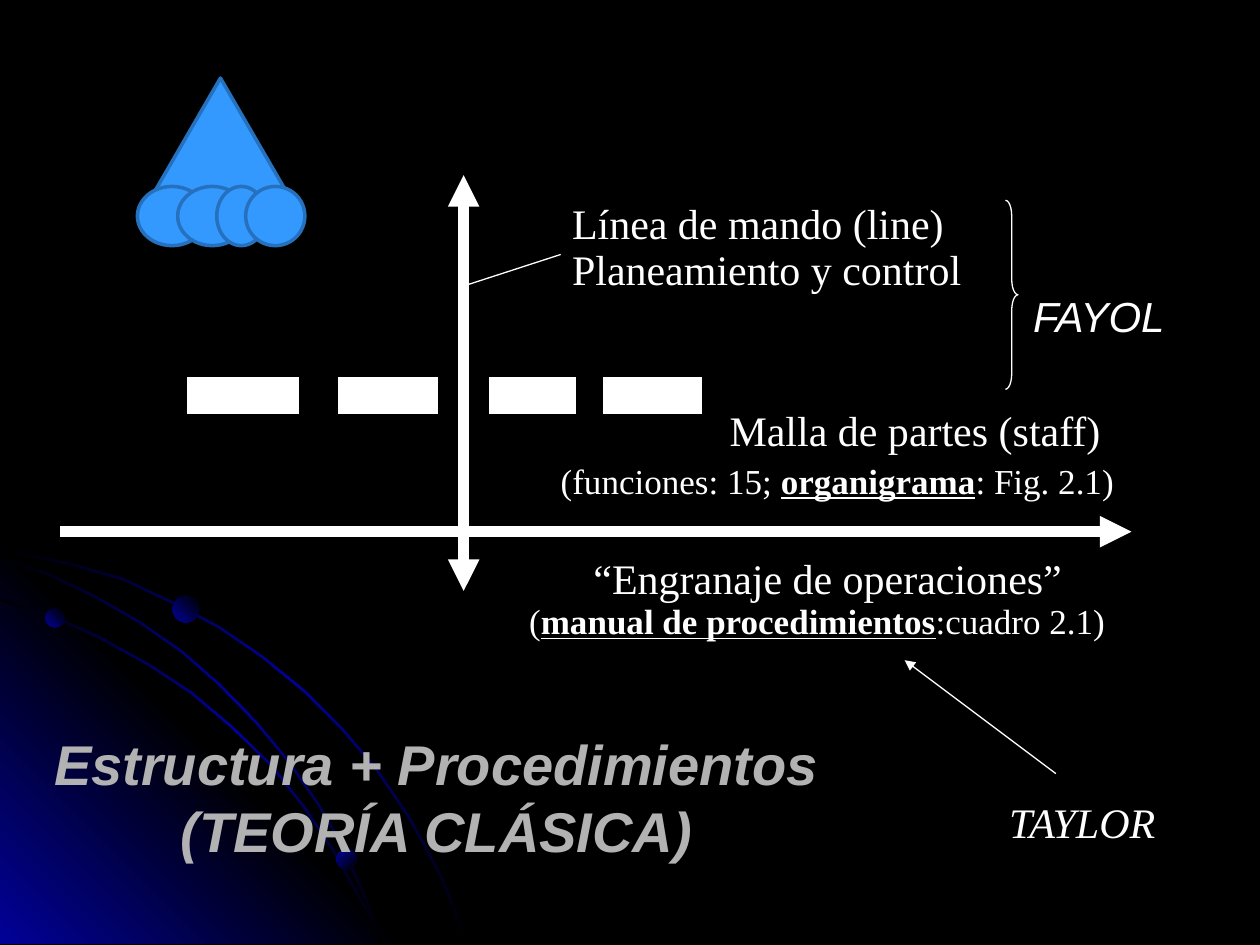
from lxml.etree import SubElement
from pptx import Presentation
from pptx.dml.color import RGBColor
from pptx.enum.shapes import MSO_CONNECTOR, MSO_SHAPE as Shape
from pptx.enum.text import MSO_ANCHOR as Anchor, MSO_AUTO_SIZE as AutoSize, PP_ALIGN as Align
from pptx.oxml.ns import qn
from pptx.util import Emu, Pt

PX = 9144  # EMU per px, 100 px to the inch
THEME = {
    "black": "000000", "white": "FFFFFF", "navy": "010199", "title": "B2B2B2",
    "blue": "3399FF", "edge": "2671BD",
    "serif": "Times New Roman", "sans": "Arial",
    "title_size": 32, "large": 24, "small": 20,
}
BLACK, WHITE, NAVY = THEME["black"], THEME["white"], THEME["navy"]


def paint(shape, fill, line=None, width=0.75):
    """Give a flat colour, or (stops, clockwise angle) for a gradient."""
    shape.shadow.inherit = False
    if isinstance(fill, tuple):
        colors, angle = fill
        shape.fill.gradient()
        gradient = shape.fill._xPr.find(qn("a:gradFill"))
        stops = gradient.find(qn("a:gsLst"))
        stops.clear()
        for index, color in enumerate(colors):
            stop = SubElement(stops, qn("a:gs"), pos=str(index * 100000 // (len(colors) - 1)))
            SubElement(stop, qn("a:srgbClr"), val=color)
        gradient.find(qn("a:lin")).set("ang", str(angle * 60000))
    elif fill:
        shape.fill.solid()
        shape.fill.fore_color.rgb = RGBColor.from_string(fill)
    else:
        shape.fill.background()
    if line:
        shape.line.color.rgb = RGBColor.from_string(line)
        shape.line.width = Pt(width)
    else:
        shape.line.fill.background()


def add_run(paragraph, text, size, font=THEME["serif"], color=WHITE, bold=False,
            italic=False, underline=False):
    run = paragraph.add_run()
    run.text = text
    run.font.size = Pt(size)
    run.font.name = font
    run.font.color.rgb = RGBColor.from_string(color)
    run.font.bold, run.font.italic, run.font.underline = bold, italic, underline


presentation = Presentation()
presentation.slide_width, presentation.slide_height = Emu(1000 * PX), Emu(750 * PX)
slide = presentation.slides.add_slide(presentation.slide_layouts[5])
shapes = slide.shapes
slide.background.fill.solid()
slide.background.fill.fore_color.rgb = RGBColor.from_string(BLACK)

# Corner decoration: thin arcs given by their upper edge, and a glowing triangle
arcs = [
    [(0, 435), (28, 441), (57, 447), (98, 459), (136, 477), (174, 497), (209, 521),
     (242, 548), (272, 578), (300, 611), (325, 648), (339, 673), (352, 698), (362, 723),
     (372, 749)],
    [(0, 475), (41, 488), (79, 505), (117, 526), (152, 549), (184, 576), (215, 606),
     (242, 640), (266, 676), (286, 712), (296, 730), (303, 749)],
    [(0, 442), (39, 455), (76, 473), (111, 493), (144, 516), (175, 543), (204, 573),
     (229, 603), (254, 639), (269, 665), (282, 693), (294, 720), (303, 749)],
]
glow = [(0, 427), (322, 749), (0, 749)]
outlines = []
for upper in arcs:
    last = len(upper) - 1
    # The two-px thickness turns from downward to leftward along the arc
    lower = [(x - 2 * i / last, y + 2 - 2 * i / last) for i, (x, y) in enumerate(upper)]
    outlines.append((upper + lower[::-1], ([BLACK, NAVY, BLACK], 45)))
outlines.insert(1, (glow, ([NAVY, BLACK, NAVY], 315)))
for points, fill in outlines:
    corners = [(x * PX, y * PX) for x, y in points]
    builder = shapes.build_freeform(*corners[0], scale=1.0)
    builder.add_line_segments(corners[1:], close=True)
    paint(builder.convert_to_shape(), fill)

for left, top, size, angle in [(36, 483, 15, 315), (267, 674, 16, 45), (137, 473, 21, 315)]:
    dot = shapes.add_shape(Shape.OVAL, left * PX, top * PX, size * PX, size * PX)
    paint(dot, ([NAVY, BLACK], angle))

# Axes, pointer lines and their arrowheads
lines = [
    (48, 422, 898, 422, 6, ["tailEnd"]),
    (368, 139, 368, 469, 6, ["headEnd", "tailEnd"]),
    (368, 227, 445, 202, 0.75, []),
    (838, 614, 718, 524, 0.75, ["tailEnd"]),
]
for x1, y1, x2, y2, width, arrowheads in lines:
    connector = shapes.add_connector(MSO_CONNECTOR.STRAIGHT, x1 * PX, y1 * PX, x2 * PX, y2 * PX)
    connector.line.color.rgb = RGBColor.from_string(WHITE)
    connector.line.width = Pt(width)
    for end in arrowheads:
        SubElement(connector.line._get_or_add_ln(), qn("a:" + end), type="triangle")
    SubElement(connector._element.spPr, qn("a:effectLst"))

# Staff boxes
for left, width in [(148, 90), (268, 80), (388, 70), (478, 80)]:
    box = shapes.add_shape(Shape.RECTANGLE, left * PX, 299 * PX, width * PX, 30 * PX)
    paint(box, WHITE, BLACK)

# Brace
brace = shapes.add_shape(Shape.RIGHT_BRACE, 798 * PX, 159 * PX, 10 * PX, 150 * PX)
brace.adjustments[0] = 1.241
brace.adjustments[1] = 0.5
paint(brace, None, WHITE)

# Table: the text stands in the last column
frame = shapes.add_table(3, 3, 0, 155 * PX, 957 * PX, 429 * PX)
table = frame.table
table.first_row = table.horz_banding = False
NO_STYLE_NO_GRID = "{2D5ABB26-0587-4C30-8999-92F81FD0307C}"
table._tbl.tblPr.find(qn("a:tableStyleId")).text = NO_STYLE_NO_GRID
for column, width in zip(table.columns, [324, 86, 547]):
    column.width = Emu(width * PX)
for row, height in zip(table.rows, [282, 90, 57]):
    row.height = Emu(height * PX)
for cell in table.iter_cells():
    cell.fill.background()

large, small = THEME["large"], THEME["small"]
strong = {"bold": True, "underline": True}
# Per row: (left margin in px, space before in points, runs)
row_texts = [
    [
        (34, 0, [("Línea de mando (line)", large, {})]),
        (34, 0, [("Planeamiento y control", large, {})]),
        (400, 0, [("FAYOL", large, {"font": THEME["sans"], "italic": True})]),
        (159, 39, [("Malla de partes (staff)", large, {})]),
        (25, 4, [("(funciones: 15; ", small, {}), ("organigrama", small, strong),
                 (": Fig. 2.1)", small, {})]),
    ],
    [
        (51, 0, [("“Engranaje de operaciones”", large, {})]),
        (0, 0, [("(", small, {}), ("manual de procedimientos", small, strong),
                (":cuadro 2.1)", small, {})]),
    ],
]
for row_index, texts in enumerate(row_texts):
    text_frame = table.cell(row_index, 2).text_frame
    for index, (margin, space, runs) in enumerate(texts):
        paragraph = text_frame.add_paragraph() if index else text_frame.paragraphs[0]
        paragraph.space_before = Pt(space)
        paragraph._p.get_or_add_pPr().set("marL", str(margin * PX))
        for text, size, style in runs:
            add_run(paragraph, text, size, **style)

# Taylor label
label = shapes.add_textbox(791 * PX, 627 * PX, 149 * PX, 50 * PX)
label.text_frame.word_wrap = False
label.text_frame.vertical_anchor = Anchor.MIDDLE
add_run(label.text_frame.paragraphs[0], "TAYLOR", large, italic=True)

# Title, brought in front of the decoration
title = shapes.title
title.left, title.top, title.width, title.height = (Emu(n * PX) for n in (0, 611, 693, 43))
shapes._spTree.append(title._element)
title.text_frame.auto_size = AutoSize.NONE
title.text_frame.vertical_anchor = Anchor.MIDDLE
paragraph = title.text_frame.paragraphs[0]
paragraph.alignment = Align.CENTER
heading = {"font": THEME["sans"], "color": THEME["title"], "bold": True, "italic": True}
add_run(paragraph, "Estructura + Procedimientos", THEME["title_size"], **heading)
paragraph.add_line_break()
add_run(paragraph, "(TEORÍA CLÁSICA)", THEME["title_size"], **heading)

# Pyramid on its row of ovals
pyramid = [(Shape.ISOSCELES_TRIANGLE, 117, 62, 116, 100)]
pyramid += [(Shape.OVAL, left, 148, width, 47)
            for left, width in [(109, 55), (141, 55), (172, 39), (195, 47)]]
for kind, left, top, width, height in pyramid:
    part = shapes.add_shape(kind, left * PX, top * PX, width * PX, height * PX)
    paint(part, THEME["blue"], THEME["edge"], 2)

presentation.save("out.pptx")
